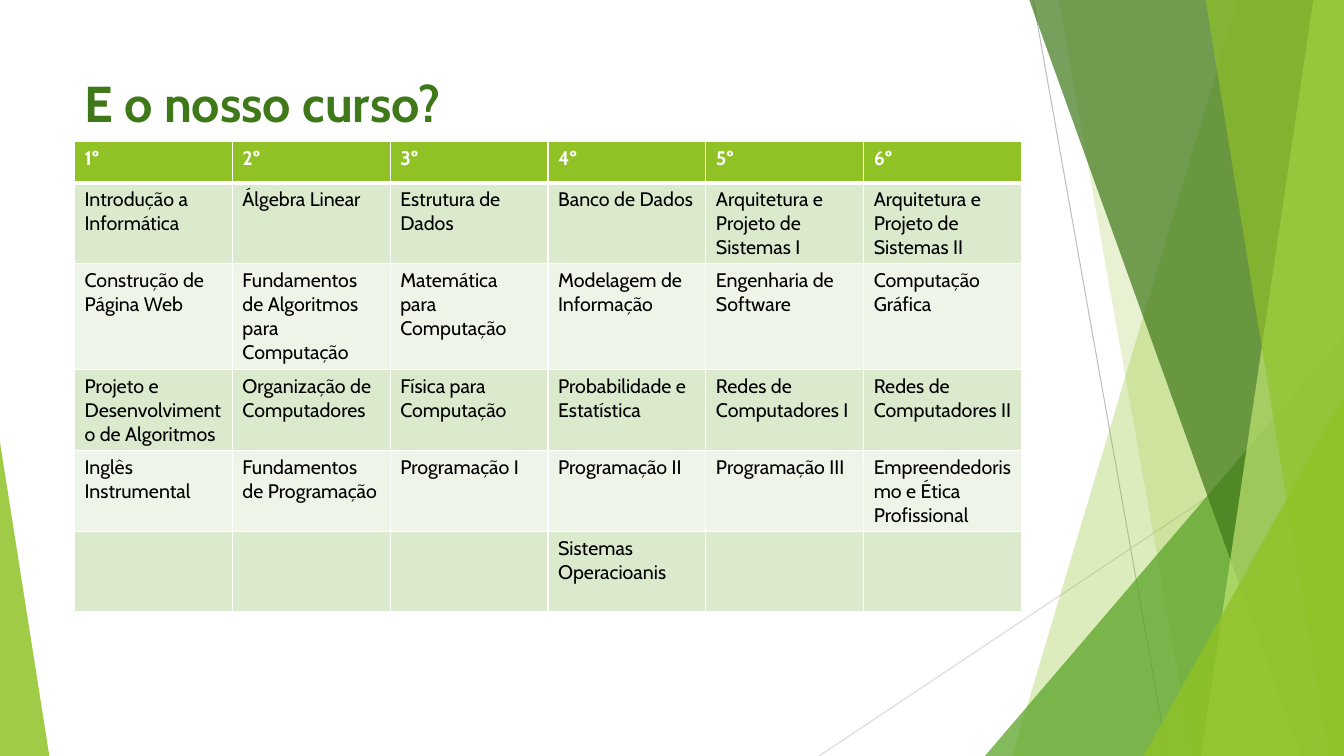
"""Build the course grid slide with its green facet backdrop."""
import lxml.etree
import pptx
import pptx.dml.color
import pptx.enum.shapes
import pptx.enum.text
import pptx.oxml.ns
import pptx.util

PX = 9525
WIDE, HIGH = 1280, 720
FONT = "Cabin"
qn = pptx.oxml.ns.qn
rgb = pptx.dml.color.RGBColor.from_string
KIND = pptx.enum.shapes.MSO_SHAPE


def paint(fill, tint, alpha=100):
    fill.solid()
    fill.fore_color.rgb = rgb(tint)
    if alpha < 100:
        node = fill._xPr.find(qn("a:solidFill"))[0]
        lxml.etree.SubElement(node, qn("a:alpha"), val=str(alpha * 1000))


def style(para, size, tint, bold):
    for run in para.runs:
        run.font.name = FONT
        run.font.size = pptx.util.Pt(size)
        run.font.bold = bold
        run.font.color.rgb = rgb(tint)


deck = pptx.Presentation()
deck.slide_width, deck.slide_height = WIDE * PX, HIGH * PX
slide = deck.slides.add_slide(deck.slide_layouts[6])
shapes = slide.shapes

rays = [
    (984, 0, 1112, HIGH, "BFBFBF"),
    (WIDE, 387, 780, HIGH, "D9D9D9"),
]
for *ends, tint in rays:
    ray = shapes.add_connector(
        pptx.enum.shapes.MSO_CONNECTOR.STRAIGHT, *[end * PX for end in ends])
    ray.line.color.rgb = rgb(tint)
    ray.line.width = pptx.util.Pt(0.75)
    lxml.etree.SubElement(ray._element.spPr, qn("a:effectLst"))

# (top x, bottom x) for a facet, (left, top, width, height, apex) for a triangle
facets = [
    ((1179, 964), "90C226", 30),
    ((1008, 1136), "90C226", 20),
    ((938, 320, 342, 400, 1), "54A021", 72),
    ((980, 1239), "3F7819", 70),
    ((1251, 1144), "C0E474", 70),
    ((1148, 1265), "90C226", 65),
    ((1089, 377, 191, 343, 1), "90C226", 80),
    ((0, 421, 47, 299, 0), "90C226", 85),
]
for place, tint, alpha in facets:
    if len(place) == 2:
        top, base = place
        pen = shapes.build_freeform(top, -1, PX)
        pen.add_line_segments([(WIDE, -1), (WIDE, HIGH), (base, HIGH)])
        facet = pen.convert_to_shape()
    else:
        *box, apex = place
        facet = shapes.add_shape(
            KIND.ISOSCELES_TRIANGLE, *[side * PX for side in box])
        facet.adjustments[0] = apex
    facet.shadow.inherit = False
    facet.line.fill.background()
    paint(facet.fill, tint, alpha)

title = shapes.add_textbox(71 * PX, 64 * PX, 902 * PX, 138 * PX)
frame = title.text_frame
frame.word_wrap = True
frame.vertical_anchor = pptx.enum.text.MSO_ANCHOR.TOP
frame.text = "E o nosso curso?"
style(frame.paragraphs[0], 36, "3F7819", True)

terms = [
    ["1º", "2º", "3º", "4º", "5º", "6º"],
    ["Introdução a Informática", "Álgebra Linear", "Estrutura de Dados",
     "Banco de Dados", "Arquitetura e Projeto de Sistemas I",
     "Arquitetura e Projeto de Sistemas II"],
    ["Construção de Página Web", "Fundamentos de Algoritmos para Computação",
     "Matemática para Computação", "Modelagem de Informação",
     "Engenharia de Software", "Computação Gráfica"],
    ["Projeto e Desenvolvimento de Algoritmos", "Organização de Computadores",
     "Física para Computação", "Probabilidade e Estatística",
     "Redes de Computadores I", "Redes de Computadores II"],
    ["Inglês Instrumental", "Fundamentos de Programação", "Programação I",
     "Programação II", "Programação III",
     "Empreendedorismo e Ética Profissional"],
    ["", "", "", "Sistemas Operacioanis", "", ""],
]
tall = [39, 77, 101, 77, 77, 77]
grid = shapes.add_table(
    len(terms), len(terms[0]), 71 * PX, 135 * PX, 902 * PX, sum(tall) * PX).table
for r, names in enumerate(terms):
    grid.rows[r].height = tall[r] * PX
    head = r == 0
    shade = "90C226" if head else ("EEF4E8", "DBE9CD")[r % 2]
    for c, name in enumerate(names):
        cell = grid.cell(r, c)
        cell.text_frame.text = name
        style(cell.text_frame.paragraphs[0], 14,
              "FFFFFF" if head else "000000", head)
        props = cell._tc.get_or_add_tcPr()
        for edge in "LRTB":
            thick = (r, edge) in [(0, "B"), (1, "T")]
            rule = lxml.etree.SubElement(
                props, qn("a:ln" + edge), w=str(12700 * (3 if thick else 1)))
            ink = lxml.etree.SubElement(rule, qn("a:solidFill"))
            lxml.etree.SubElement(ink, qn("a:srgbClr"), val="FFFFFF")
        paint(cell.fill, shade)

deck.save("out.pptx")
